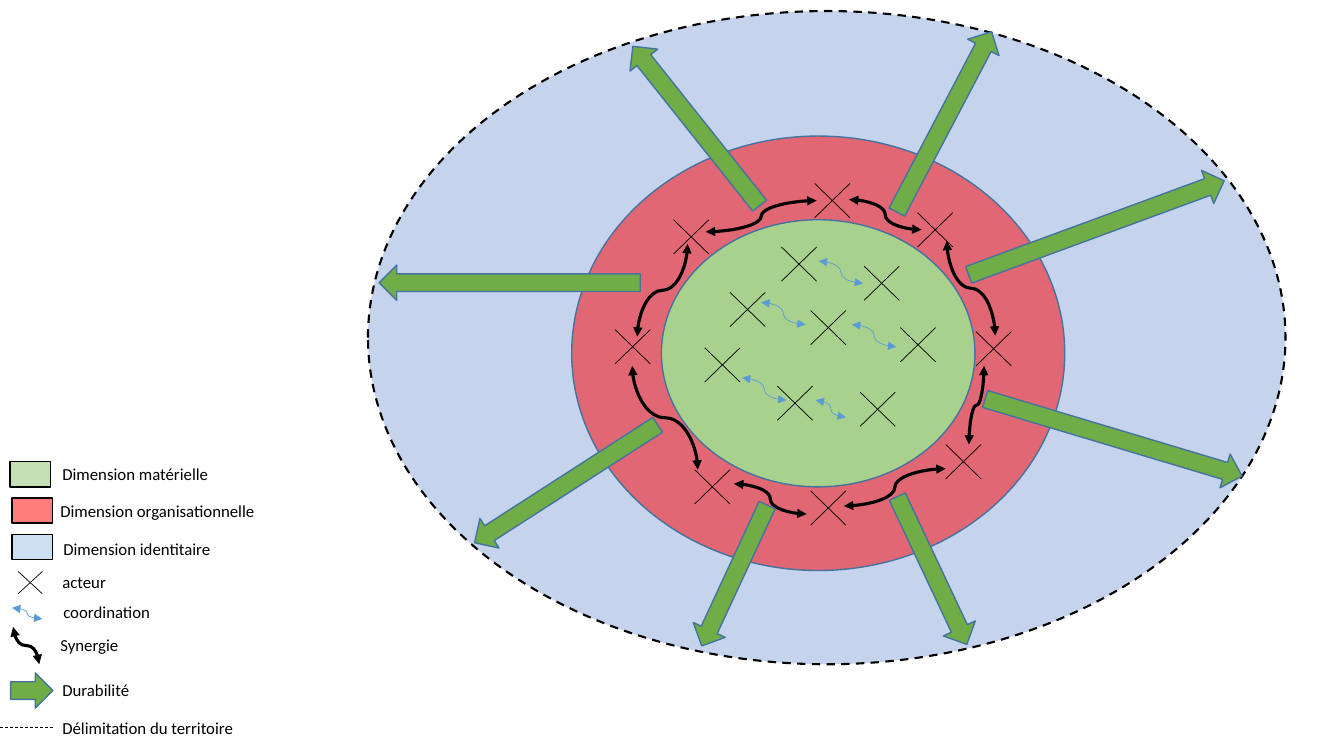
from dataclasses import dataclass

from lxml import etree
from pptx import Presentation
from pptx import util as u
from pptx.dml.color import RGBColor
from pptx.enum import dml, shapes, text
from pptx.oxml import ns


@dataclass(frozen=True)
class Theme:
    font: str = "Calibri"
    label_size: float = 12
    ink: str = "000000"
    outline: str = "43739E"
    identity: str = "8FAADC"
    identity_key: str = "9DC3E6"
    organisation: str = "FF0000"
    material: str = "A9D18E"
    material_key: str = "C5E0B4"
    coordination: str = "5B9BD5"
    durability: str = "70AD47"
    veil: int = 51
    hairline: float = 0.5
    thin: float = 1
    border: float = 1.5
    bold: float = 2.25


COLUMNS, ROWS = 133.3, 75
CROSS = 3.5, 3.4
ARROW_WIDTH = 3.5

MATERIAL_ACTORS = [(77.5, 24.5), (80.4, 30.8), (72.4, 29), (85.7, 26.4),
                   (77.1, 38.3), (89.3, 32.5), (85.3, 38.9), (69.9, 34.5)]
COORDINATIONS = [(81.2, 25.9, 4.4, 2.2), (84.5, 32.2, 4.4, 2.2), (75.5, 30, 4.4, 2.2),
                 (80.9, 39.7, 3, 1.7), (73.6, 37.5, 4.4, 2.2)]
RING_ACTORS = [(80.8, 18.2), (91, 21.1), (96.8, 32.9), (93.8, 44.1),
               (80.4, 48.7), (68.9, 46.6), (61, 32.7), (66.8, 21.8)]
SYNERGIES_ACROSS = [(84.2, 19.8, 7.2, 3), (83.7, 50.2, 10.1, -3.7),
                    (72.8, 48, 7.2, 3), (70, 23, 11, -3.1)]
SYNERGIES_DOWN = [(93.9, 23.9, 4.8, 9.4), (97.6, 36.3, -1.5, 7.8),
                  (62.7, 36.3, 6.5, 10.3), (68.2, 24.2, -5, 9.2)]
DURABILITY_ARROWS = [(107, 9.1, 27, 249.8), (108.7, 30.1, 26.6, 286.7),
                     (90.7, 48.5, 16.2, 334.8), (71.1, 49.4, 15.4, 24.9),
                     (54.4, 37.2, 21.6, 57.2), (48.8, 15.1, 25.9, 90),
                     (67.3, 2.4, 20.2, 141.5), (91.9, 2, 20.2, 207.7)]
LEGEND_LABELS = [("Dimension matérielle", 5.2, 45.5), ("Dimension organisationnelle", 5, 49.2),
                 ("Dimension identitaire", 5.3, 53), ("acteur", 5.2, 56.2),
                 ("coordination", 5.3, 59.2), ("Synergie", 5, 62.5),
                 ("Durabilité", 5.2, 66.9), ("Délimitation du territoire", 5.2, 70.7)]


def write_text(frame, content, *, font, size, color):
    """Put one formatted line of text into a text frame."""
    run = frame.paragraphs[0].add_run()
    run.text = content
    run.font.name = font
    run.font.size = u.Pt(size)
    run.font.color.rgb = RGBColor.from_string(color)


class Diagram:
    """Draw the diagram's elements on one slide in grid units."""

    def __init__(self, presentation, theme):
        """Add a blank slide and size its grid."""
        self.theme = theme
        self.slide = presentation.slides.add_slide(presentation.slide_layouts[6])
        self.column = presentation.slide_width / COLUMNS
        self.row = presentation.slide_height / ROWS

    def place(self, x, y):
        """Turn columns and rows into slide lengths."""
        return u.Emu(round(x * self.column)), u.Emu(round(y * self.row))

    def stroke(self, line, color, width, dashed=False):
        """Style a line or an outline."""
        line.color.rgb = RGBColor.from_string(color)
        line.width = u.Pt(width)
        if dashed:
            line.dash_style = dml.MSO_LINE.DASH

    def shape(self, kind, box, fill, color, width, opacity=100, dashed=False):
        """Add a filled preset shape."""
        left, top, wide, high = box
        shape = self.slide.shapes.add_shape(
            kind, *self.place(left, top), *self.place(wide, high))
        shape.shadow.inherit = False
        shape.fill.solid()
        shape.fill.fore_color.rgb = RGBColor.from_string(fill)
        if opacity < 100:
            tint = shape.element.spPr.find(f"{ns.qn('a:solidFill')}/{ns.qn('a:srgbClr')}")
            etree.SubElement(tint, ns.qn("a:alpha"), val=str(opacity * 1000))
        self.stroke(shape.line, color, width, dashed)
        return shape

    def line(self, start, end, color, width, kind=shapes.MSO_CONNECTOR.STRAIGHT,
             dashed=False, parent=None):
        """Add a connector without a shadow."""
        connector = (parent or self.slide).shapes.add_connector(
            kind, *self.place(*start), *self.place(*end))
        self.stroke(connector.line, color, width, dashed)
        etree.SubElement(connector.element.spPr, ns.qn("a:effectLst"))
        return connector

    def actor(self, x, y, size=CROSS):
        """Add a grouped cross."""
        wide, high = size
        group = self.slide.shapes.add_group_shape()
        for start, end in (((x, y), (x + wide, y + high)), ((x + wide, y), (x, y + high))):
            self.line(start, end, self.theme.ink, self.theme.hairline, parent=group)

    def curve(self, x, y, across, down, color, width, upright=False):
        """Add a double-headed S curve, leaving sideways or downwards when upright."""
        start, end = (x, y), (x + across, y + down)
        if upright:
            middle_x, middle_y = x + across / 2, y + down / 2
            side = down / 2 if across > 0 else -down / 2
            start = middle_x + side, middle_y - abs(across) / 2
            end = middle_x - side, middle_y + abs(across) / 2
        connector = self.line(start, end, color, width, shapes.MSO_CONNECTOR.CURVE)
        if upright:
            turn = 270 if across > 0 else 90
            connector.element.spPr.find(ns.qn("a:xfrm")).set("rot", str(turn * 60000))
        outline = connector.element.spPr.find(ns.qn("a:ln"))
        for tip in ("a:headEnd", "a:tailEnd"):
            etree.SubElement(outline, ns.qn(tip), type="triangle")

    def coordination(self, *run):
        """Add a thin coordination curve."""
        self.curve(*run, self.theme.coordination, self.theme.hairline)

    def synergy(self, *run, upright=False):
        """Add a bold synergy curve."""
        self.curve(*run, self.theme.ink, self.theme.bold, upright)

    def durability(self, left, top, length, angle):
        """Add a rotated block arrow."""
        arrow = self.shape(shapes.MSO_SHAPE.DOWN_ARROW, (left, top, ARROW_WIDTH, length),
                           self.theme.durability, self.theme.outline, self.theme.thin)
        arrow.rotation = angle

    def label(self, content, left, top):
        """Add a legend label."""
        box = self.slide.shapes.add_textbox(*self.place(left, top), *self.place(24, 3))
        box.text_frame.word_wrap = True
        box.text_frame.auto_size = text.MSO_AUTO_SIZE.SHAPE_TO_FIT_TEXT
        write_text(box.text_frame, content, font=self.theme.font,
                   size=self.theme.label_size, color=self.theme.ink)


def draw_territory(diagram):
    """Draw the nested dimensions with their actors and links."""
    theme, oval = diagram.theme, shapes.MSO_SHAPE.OVAL
    diagram.shape(oval, (36.5, 1.1, 91, 64.8), theme.identity, theme.ink,
                  theme.border, theme.veil, dashed=True)
    diagram.shape(oval, (56.7, 13.5, 48.9, 43.1), theme.organisation, theme.outline,
                  theme.thin, theme.veil)
    diagram.shape(oval, (65.6, 21.8, 31.1, 26.5), theme.material, theme.outline, theme.thin)
    for spot in MATERIAL_ACTORS:
        diagram.actor(*spot)
    for run in COORDINATIONS:
        diagram.coordination(*run)
    for spot in RING_ACTORS:
        diagram.actor(*spot)
    for run in SYNERGIES_ACROSS:
        diagram.synergy(*run)
    for run in SYNERGIES_DOWN:
        diagram.synergy(*run, upright=True)
    for arrow in DURABILITY_ARROWS:
        diagram.durability(*arrow)


def draw_legend(diagram):
    """Draw the legend's keys and labels."""
    theme = diagram.theme
    swatches = [(1, 45.8, theme.material_key, 100), (1.2, 49.4, theme.organisation, theme.veil),
                (1.2, 53, theme.identity_key, theme.veil)]
    for left, top, fill, opacity in swatches:
        diagram.shape(shapes.MSO_SHAPE.RECTANGLE, (left, top, 4, 2.5), fill,
                      theme.ink, theme.thin, opacity)
    diagram.actor(1.8, 56.7, (2.4, 2.2))
    diagram.coordination(1.2, 60.3, 3, 1.1)
    diagram.synergy(1.3, 62.2, 2.6, 3.7, upright=True)
    diagram.durability(1.4, 66.4, 4.2, 270)
    diagram.line((0, 72.2), (5.3, 72.2), theme.ink, theme.hairline, dashed=True)
    for label in LEGEND_LABELS:
        diagram.label(*label)


def main():
    """Build and save the slide."""
    presentation = Presentation()
    presentation.slide_width, presentation.slide_height = u.Inches(13.33), u.Inches(7.5)
    diagram = Diagram(presentation, Theme())
    draw_territory(diagram)
    draw_legend(diagram)
    presentation.save("out.pptx")


if __name__ == "__main__":
    main()
